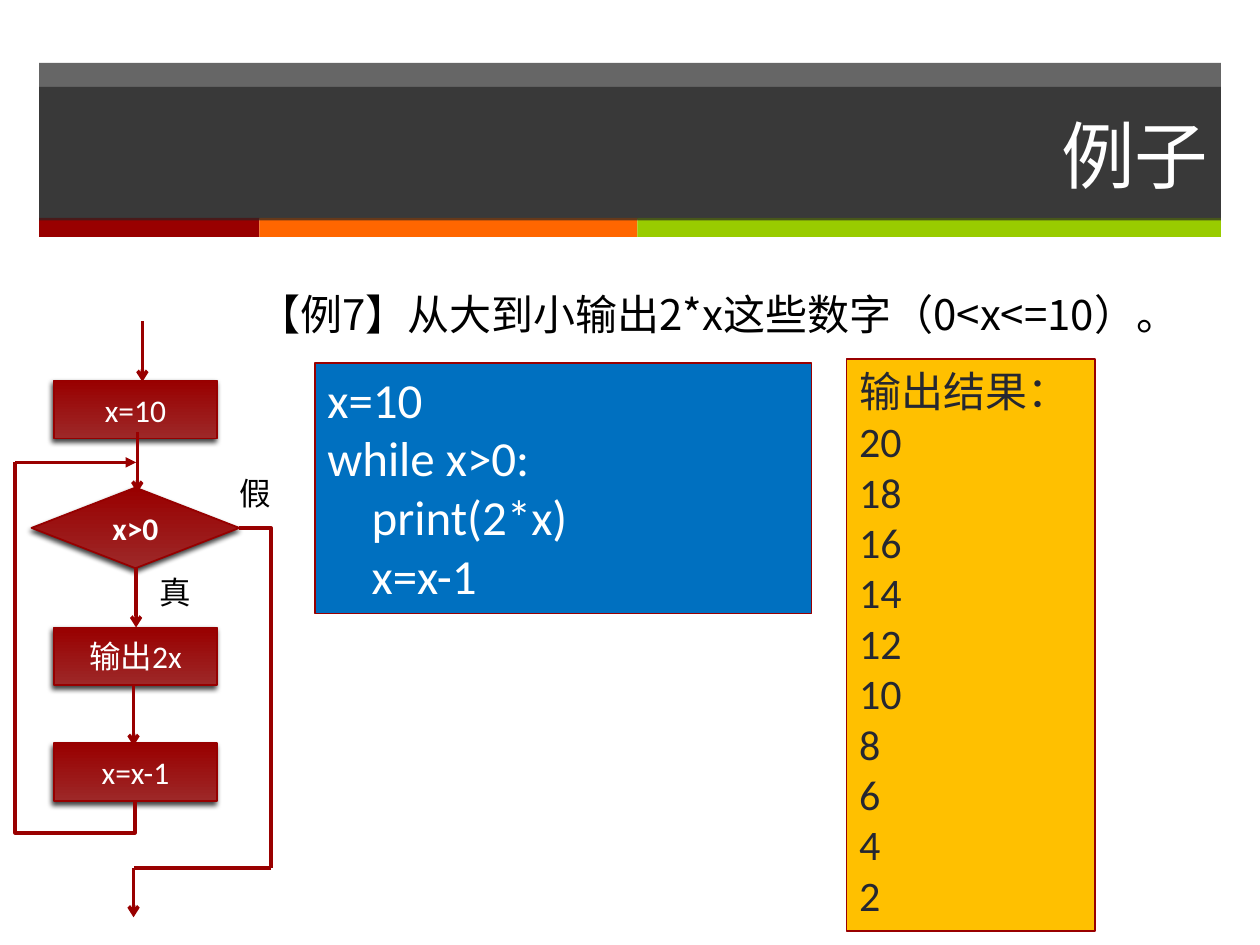
from lxml.etree import SubElement
from pptx import Presentation
from pptx.dml.color import RGBColor
from pptx.enum.shapes import MSO_CONNECTOR as LINK, MSO_SHAPE as SHAPE
from pptx.enum.text import MSO_ANCHOR as ANCHOR, MSO_AUTO_SIZE as FIT, PP_ALIGN as ALIGN
from pptx.oxml import parse_xml
from pptx.oxml.ns import nsdecls, qn
from pptx.util import Inches, Pt

COLORS = {
    "dark": "262626", "red": "990000", "orange": "FF6600", "green": "99CC00",
    "blue": "0070C0", "amber": "FFC000", "slate": "252731", "edge": "960000",
    "glow": "9D2828", "white": "FFFFFF", "black": "000000",
}
LATIN, CHINESE = "Calibri", "Noto Sans CJK SC"

HEADING = "例子"
TASK = "【例7】从大到小输出2*x这些数字（0<x<=10）。"
CODE = ["x=10", "while x>0:", "    print(2*x)", "    x=x-1"]
RESULTS = ["输出结果："] + [str(2 * x) for x in range(10, 0, -1)]
STRIPES = [("red", 1.75), ("orange", 3), ("green", 4.63)]
PANELS = [
    (CODE, (2.5, 2.88, 3.94, 1.99), "blue", 28, "white"),
    (RESULTS, (6.72, 2.85, 1.97, 4.54), "amber", 24, "slate"),
]
STEPS = [("x=10", 3.02), ("输出2x", 4.98), ("x=x-1", 5.9)]
DECISION = ("x>0", (0.25, 3.87, 1.65, 0.64))
BRANCHES = [("真", 1.17, 4.5), ("假", 1.8, 3.71)]
FLOWS = [
    (1.08, 4.51, 1.08, 4.98, "arrow"),
    (1.06, 5.44, 1.06, 5.92, "arrow"),
    (1.09, 3.43, 1.09, 3.91, "arrow"),
    (1.13, 2.55, 1.13, 3.03, "arrow"),
    (0.12, 3.67, 1.08, 3.67, "triangle"),
    (2.15, 6.89, 1.06, 6.89, None),
    (1.06, 6.89, 1.06, 7.28, "arrow"),
]
LOOP_BACK = (1.94, 4.54, -0.75, 5.49)
EXIT = (1.9, 4.19, 2.15, 6.89)


def rgb(name):
    return RGBColor.from_string(COLORS[name])


def place(part, box):
    part.left, part.top, part.width, part.height = map(Inches, box)


def write(part, lines, size, color, font=LATIN, align=ALIGN.LEFT, bold=False):
    frame = part.text_frame
    frame.text = "\n".join(lines)
    for paragraph in frame.paragraphs:
        paragraph.alignment = align
        paragraph.font.size = Pt(size)
        paragraph.font.name = font
        paragraph.font.bold = bold
        paragraph.font.color.rgb = rgb(color)
    return frame


def paint(part, color, alpha=None):
    part.fill.solid()
    part.fill.fore_color.rgb = rgb(color)
    if alpha:
        tint = part._element.spPr.find(qn("a:solidFill"))[0]
        SubElement(tint, qn("a:alpha"), val=str(alpha * 1000))


def add_block(kind, box):
    block = slide.shapes.add_shape(kind, *map(Inches, box))
    block.shadow.inherit = False
    block.line.fill.background()
    return block


def add_node(kind, label, box, bold=False):
    node = add_block(kind, box)
    node.fill.gradient()
    node.fill.gradient_angle = 90
    for stop, color in zip(node.fill.gradient_stops, ("glow", "red")):
        stop.color.rgb = rgb(color)
    node.line.color.rgb = rgb("edge")
    node.line.width = Pt(1)
    effects = node._element.spPr.find(qn("a:effectLst"))
    effects.append(parse_xml(
        f'<a:outerShdw {nsdecls("a")} blurRad="{Pt(3)}" dist="{Pt(2)}" '
        f'dir="{110 * 60000}" rotWithShape="0"><a:srgbClr val="{COLORS["black"]}">'
        '<a:alpha val="75000"/></a:srgbClr></a:outerShdw>'))
    frame = write(node, [label], 18, "white", align=ALIGN.CENTER, bold=bold)
    frame.vertical_anchor = ANCHOR.MIDDLE


def add_flow(kind, ends, head=None):
    flow = slide.shapes.add_connector(kind, *map(Inches, ends))
    flow.line.color.rgb = rgb("red")
    flow.line.width = Pt(2)
    if head:
        SubElement(flow.line._get_or_add_ln(), qn("a:tailEnd"), type=head)
    SubElement(flow._element.spPr, qn("a:effectLst"))
    return flow._element.spPr


deck = Presentation()
deck.slide_width, deck.slide_height = Inches(10), Inches(7.5)
slide = deck.slides.add_slide(deck.slide_layouts[1])
title, body = slide.placeholders[0], slide.placeholders[1]

paint(add_block(SHAPE.RECTANGLE, (0.31, 0.5, 9.38, 1.24)), "dark", 70)
left = 0.31
for color, width in STRIPES:
    paint(add_block(SHAPE.RECTANGLE, (left, 1.73, width, 0.15)), color)
    left += width

for placeholder in (title, body):
    slide.shapes._spTree.append(placeholder._element)
place(title, (0.31, 0.69, 9.38, 1.06))
paint(title, "dark", 70)
heading = write(title, [HEADING], 42, "white", CHINESE, ALIGN.RIGHT)
heading.vertical_anchor = ANCHOR.MIDDLE
heading.auto_size = FIT.NONE

place(body, (1.95, 2.24, 7.74, 4.37))
body.text_frame.text = TASK
task_props = body.text_frame.paragraphs[0]._p.get_or_add_pPr()
task_props.set("marL", "0")
task_props.set("indent", "0")
SubElement(task_props, qn("a:buNone"))
task = body.text_frame.paragraphs[0]
task.space_before = Pt(0)
task.font.size = Pt(24)
task.font.name = CHINESE
task.font.color.rgb = rgb("black")
body.text_frame.auto_size = FIT.NONE
body.text_frame.margin_right = 0

for lines, box, fill, size, color in PANELS:
    panel = add_block(SHAPE.RECTANGLE, box)
    paint(panel, fill)
    panel.line.color.rgb = rgb("red")
    panel.line.width = Pt(0.75)
    frame = write(panel, lines, size, color)
    frame.vertical_anchor = ANCHOR.TOP
    frame.word_wrap = True
    frame.auto_size = FIT.SHAPE_TO_FIT_TEXT

for label, top in STEPS:
    add_node(SHAPE.RECTANGLE, label, (0.43, top, 1.29, 0.46))
add_node(SHAPE.DIAMOND, *DECISION, bold=True)

for *ends, head in FLOWS:
    add_flow(LINK.STRAIGHT, ends, head)
loop = add_flow(LINK.ELBOW, LOOP_BACK)
loop.find(qn("a:xfrm")).set("rot", str(90 * 60000))
loop_guides = loop.find(qn("a:prstGeom")).find(qn("a:avLst"))
SubElement(loop_guides, qn("a:gd"), name="adj1", fmla="val -9300")
add_flow(LINK.ELBOW, EXIT).find(qn("a:prstGeom")).set("prst", "bentConnector2")

for label, left, top in BRANCHES:
    branch = slide.shapes.add_textbox(*map(Inches, (left, top, 0.45, 0.4)))
    frame = write(branch, [label], 18, "black")
    frame.word_wrap = False
    frame.auto_size = FIT.SHAPE_TO_FIT_TEXT

deck.save("out.pptx")
